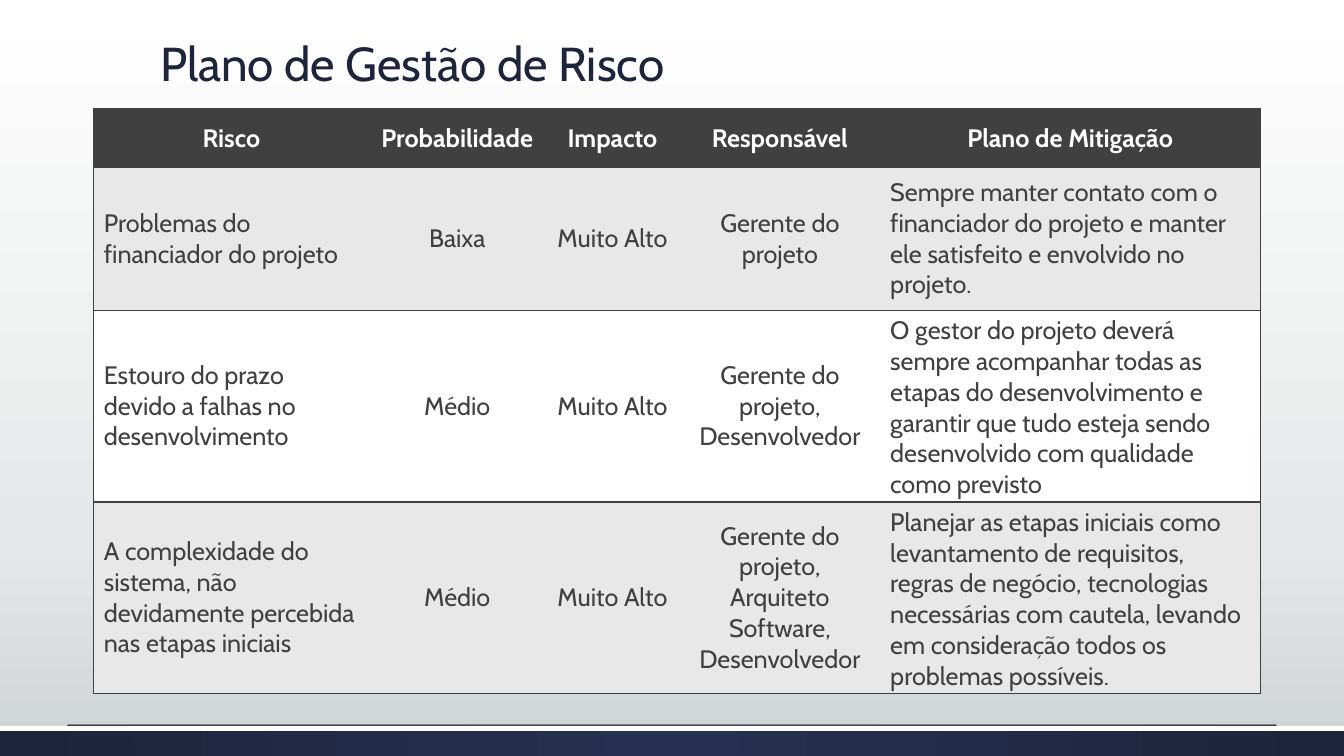
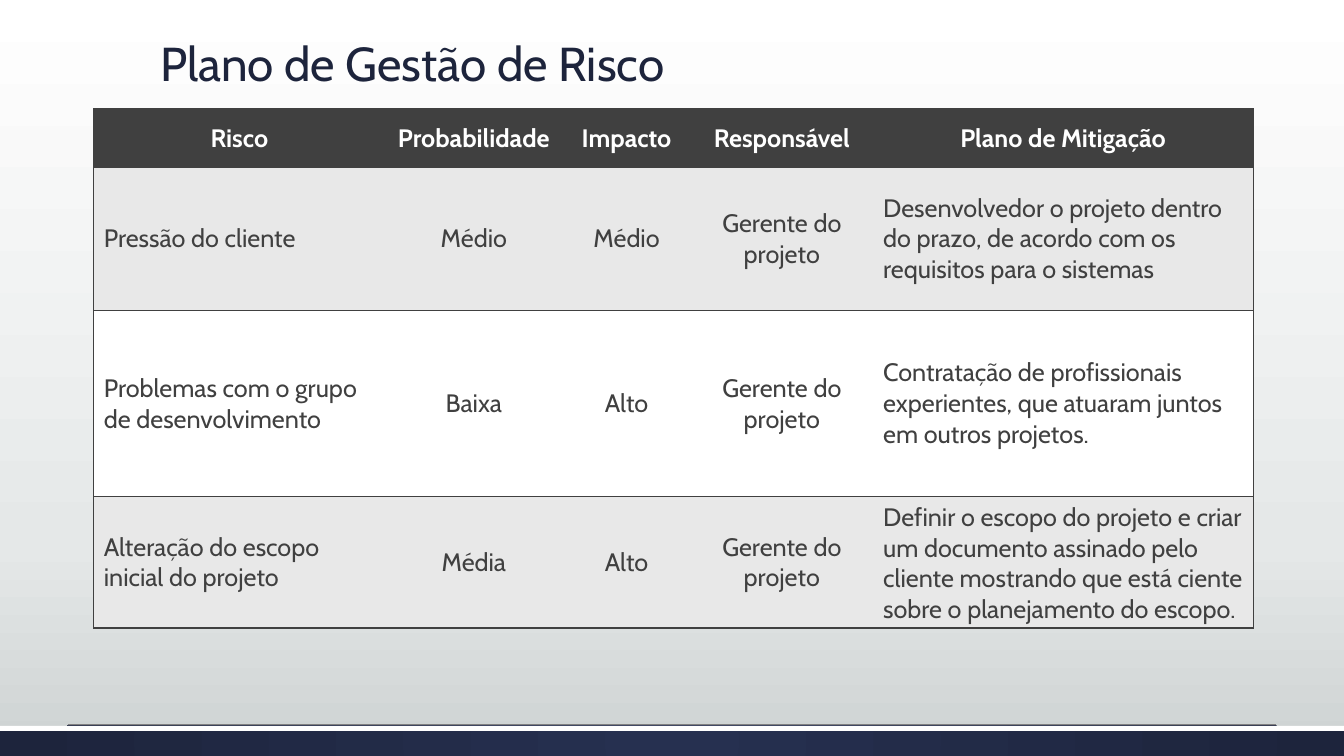
from copy import deepcopy

from pptx import Presentation
from pptx.dml.color import RGBColor
from pptx.enum.shapes import MSO_CONNECTOR, MSO_SHAPE
from pptx.enum.text import MSO_ANCHOR, PP_ALIGN
from pptx.oxml import parse_xml
from pptx.oxml.ns import nsdecls, qn
from pptx.util import Inches, Pt

# Shared look
FONT = "Cabin"
NAVY, NAVY_LIGHT = "1D243C", "263050"
DARK, GREY, WHITE = "404040", "E8E8E8", "FFFFFF"
RULE = "808080"
BACKGROUND = [(0, WHITE), (0.72, "E5E8E8"), (1, "CDD2D2")]
NO_STYLE = "{2D5ABB26-0587-4C30-8999-92F81FD0307C}"

# Content
TITLE = "Plano de Gestão de Risco"
HEADER = ("Risco", "Probabilidade", "Impacto", "Responsável", "Plano de Mitigação")
ROW_HEIGHTS = [0.58, 1.42, 1.85, 1.26]
RISK_TABLES = [
    ([2.73, 1.75, 1.33, 1.99, 3.77], [
        ("Problemas do financiador do projeto", "Baixa", "Muito Alto", "Gerente do projeto",
         "Sempre manter contato com o financiador do projeto e manter ele satisfeito e "
         "envolvido no projeto."),
        ("Estouro do prazo devido a falhas no desenvolvimento", "Médio", "Muito Alto",
         "Gerente do projeto, Desenvolvedor",
         "O gestor do projeto deverá sempre acompanhar todas as etapas do desenvolvimento e "
         "garantir que tudo esteja sendo desenvolvido com qualidade como previsto"),
        ("A complexidade do sistema, não devidamente percebida nas etapas iniciais",
         "Médio", "Muito Alto", "Gerente do projeto, Arquiteto Software, Desenvolvedor",
         "Planejar as etapas iniciais como levantamento de requisitos, regras de negócio, "
         "tecnologias necessárias com cautela, levando em consideração todos os problemas "
         "possíveis."),
    ]),
    ([2.89, 1.76, 1.27, 1.81, 3.77], [
        ("Pressão do cliente", "Médio", "Médio", "Gerente do projeto",
         "Desenvolvedor o projeto dentro do prazo, de acordo com os requisitos para o sistemas"),
        ("Problemas com o grupo de desenvolvimento", "Baixa", "Alto", "Gerente do projeto",
         "Contratação de profissionais experientes, que atuaram juntos em outros projetos."),
        ("Alteração do escopo inicial do projeto", "Média", "Alto", "Gerente do projeto",
         "Definir o escopo do projeto e criar um documento assinado pelo cliente mostrando "
         "que está ciente sobre o planejamento do escopo."),
    ]),
]


def color(value):
    return RGBColor.from_string(value)


def style(paragraph, size, value, bold=False):
    font = paragraph.font
    font.name, font.size, font.bold = FONT, Pt(size), bold
    font.color.rgb = color(value)


deck = Presentation()
deck.slide_width, deck.slide_height = Inches(13.33), Inches(7.5)

# Background gradient, set once on the master
master = deck.slide_master
fill = master.background.fill
fill.gradient()
fill.gradient_angle = 270
stop_list = master.element.find(".//" + qn("p:bg")).find(".//" + qn("a:gsLst"))
stop_list.append(deepcopy(stop_list[-1]))
for stop, (position, value) in zip(fill.gradient_stops, BACKGROUND):
    stop.position = position
    stop.color.rgb = color(value)

for widths, risks in RISK_TABLES:
    page = deck.slides.add_slide(deck.slide_layouts[6])

    # Footer: navy band with a radial gradient, white strip, thin rule
    band, strip = [
        page.shapes.add_shape(MSO_SHAPE.RECTANGLE, 0, Inches(7.2), deck.slide_width, Inches(height))
        for height in (0.3, 0.05)
    ]
    for bar in (band, strip):
        bar.shadow.inherit = False
        bar.line.fill.background()
    strip.fill.solid()
    strip.fill.fore_color.rgb = color(WHITE)
    band.fill.gradient()
    for stop, value in zip(band.fill.gradient_stops, (NAVY_LIGHT, NAVY)):
        stop.color.rgb = color(value)
    linear = band.element.spPr.find(".//" + qn("a:lin"))
    linear.getparent().replace(linear, parse_xml(
        f'<a:path {nsdecls("a")} path="circle">'
        '<a:fillToRect l="50000" t="50000" r="50000" b="50000"/></a:path>'))
    rule = page.shapes.add_connector(
        MSO_CONNECTOR.STRAIGHT, Inches(0.67), Inches(7.19), Inches(12.66), Inches(7.19))
    rule.line.color.rgb = color(RULE)
    rule.line.width = Pt(0.75)
    rule.element.spPr.append(parse_xml(f'<a:effectLst {nsdecls("a")}/>'))

    # Title
    box = page.shapes.add_textbox(Inches(1.49), Inches(0.04), Inches(10.4), Inches(0.92))
    box.text_frame.word_wrap = True
    box.text_frame.vertical_anchor = MSO_ANCHOR.BOTTOM
    para = box.text_frame.paragraphs[0]
    para.text = TITLE
    para.line_spacing = 0.9
    style(para, 34, NAVY)

    # Risk table
    rows = [HEADER] + risks
    frame = page.shapes.add_table(
        len(rows), len(widths), Inches(0.93), Inches(1.08),
        Inches(sum(widths)), Inches(sum(ROW_HEIGHTS)))
    table = frame.table
    table.horz_banding = False
    table.first_row = False
    frame.element.find(".//" + qn("a:tableStyleId")).text = NO_STYLE
    for column, width in zip(table.columns, widths):
        column.width = Inches(width)
    for row, height in zip(table.rows, ROW_HEIGHTS):
        row.height = Inches(height)

    last = len(widths) - 1
    for row_index, texts in enumerate(rows):
        is_header = row_index == 0
        background = DARK if is_header else (WHITE, GREY)[row_index % 2]
        for column_index, text in enumerate(texts):
            cell = table.cell(row_index, column_index)
            cell.vertical_anchor = MSO_ANCHOR.MIDDLE
            cell.fill.solid()
            cell.fill.fore_color.rgb = color(background)
            para = cell.text_frame.paragraphs[0]
            para.text = text
            centred = is_header or 0 < column_index < last
            para.alignment = PP_ALIGN.CENTER if centred else PP_ALIGN.LEFT
            style(para, 18, WHITE if is_header else DARK, is_header)

            # Outer frame and a line between rows
            sides = {0: ["lnL"], last: ["lnR"]}.get(column_index, []) + ["lnT", "lnB"]
            for index, side in enumerate(sides):
                cell._tc.tcPr.insert(index, parse_xml(
                    f'<a:{side} {nsdecls("a")} w="12700"><a:solidFill>'
                    f'<a:srgbClr val="{DARK}"/></a:solidFill></a:{side}>'))

deck.save("out.pptx")
